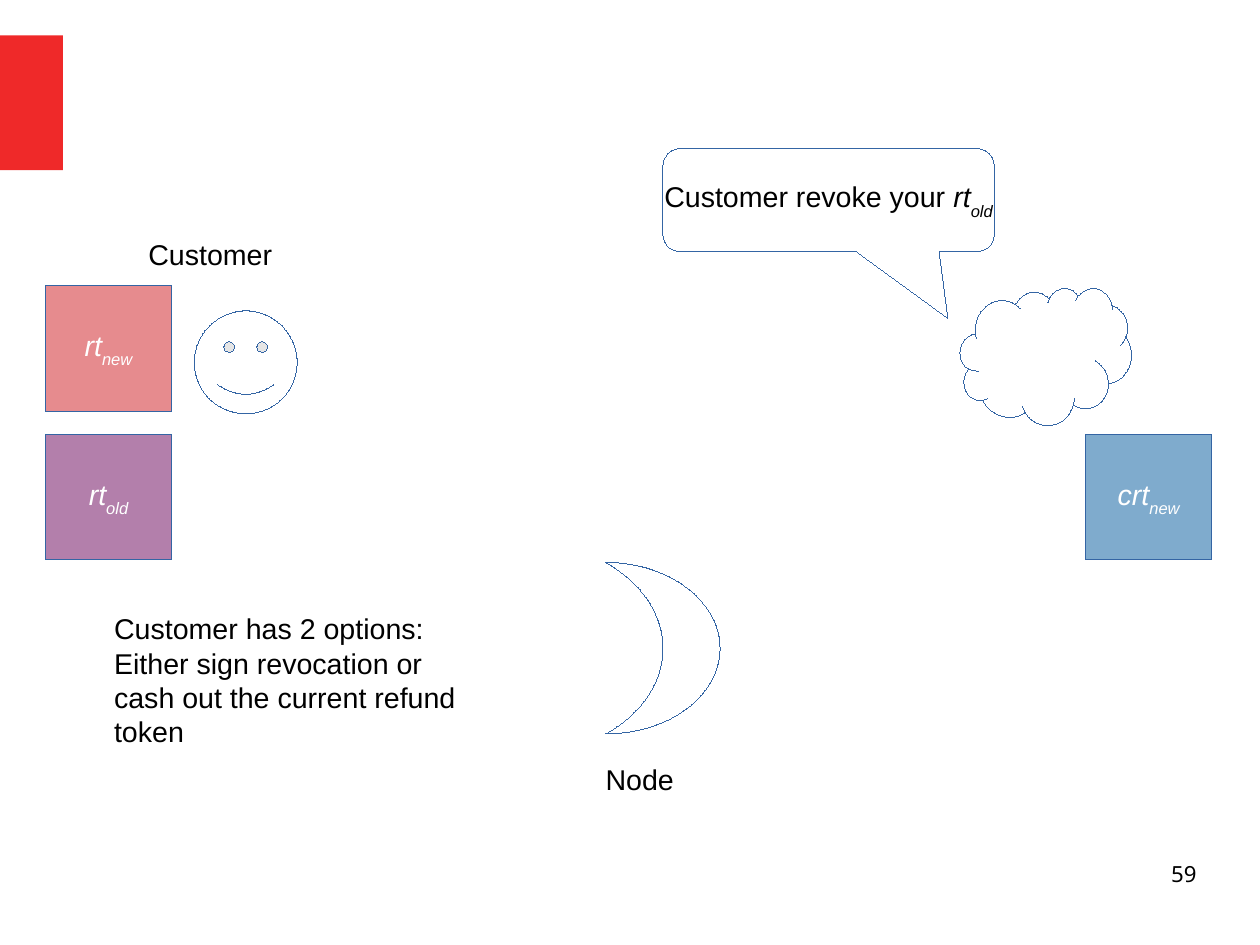
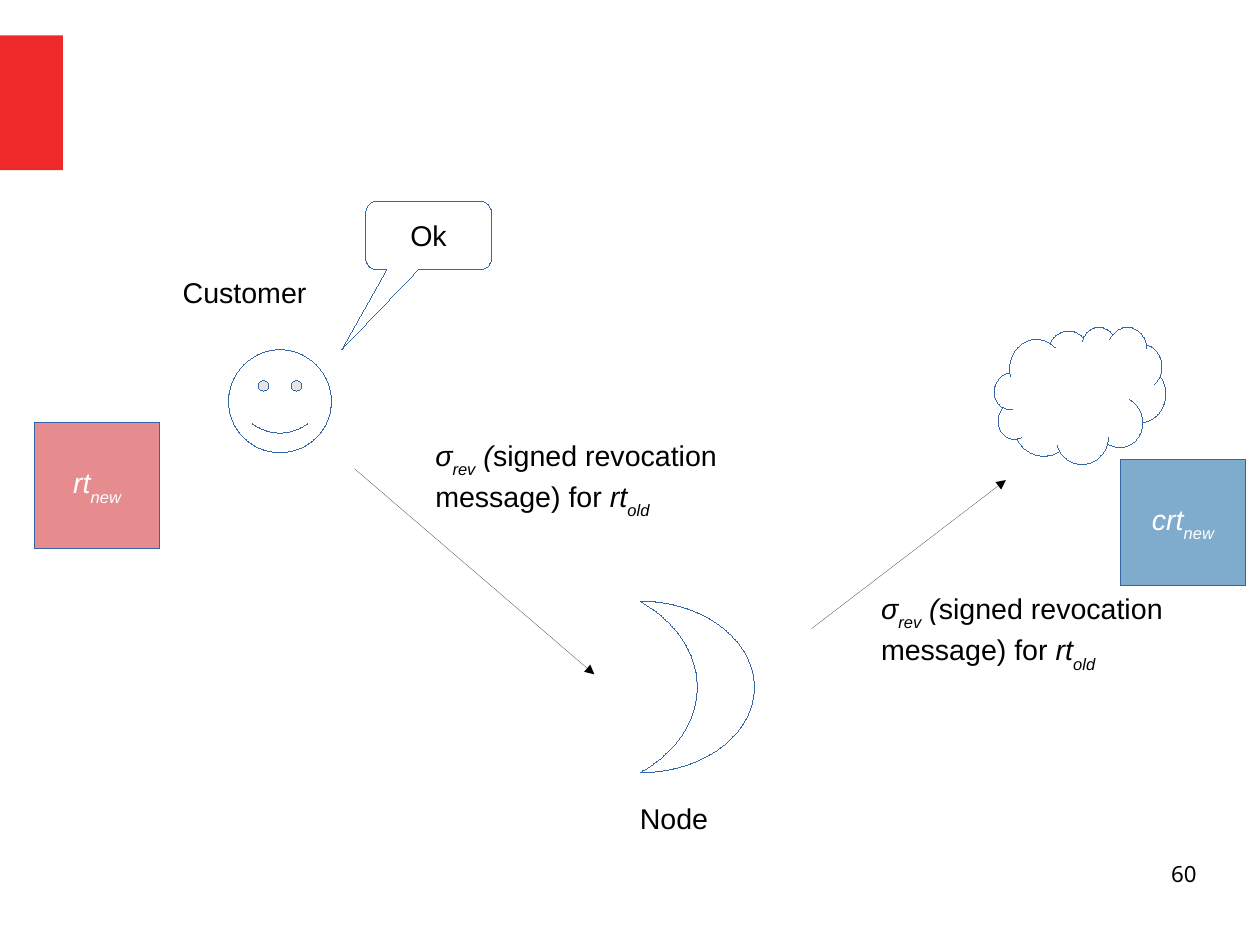
from lxml import etree
from pptx import Presentation
from pptx.dml.color import RGBColor
from pptx.enum.shapes import MSO_CONNECTOR, MSO_SHAPE
from pptx.enum.text import MSO_ANCHOR, MSO_AUTO_SIZE, PP_ALIGN
from pptx.oxml.ns import qn
from pptx.util import Cm, Inches, Pt

RECTANGLE = MSO_SHAPE.RECTANGLE
SMILEY = MSO_SHAPE.SMILEY_FACE
CLOUD = MSO_SHAPE.CLOUD
MOON = MSO_SHAPE.MOON
CALLOUT = MSO_SHAPE.ROUNDED_RECTANGULAR_CALLOUT
STRAIGHT = MSO_CONNECTOR.STRAIGHT
MIDDLE = MSO_ANCHOR.MIDDLE
GROW = MSO_AUTO_SIZE.SHAPE_TO_FIT_TEXT
LEFT, CENTER, RIGHT = PP_ALIGN.LEFT, PP_ALIGN.CENTER, PP_ALIGN.RIGHT

WHITE = RGBColor(0xFF, 0xFF, 0xFF)
BLACK = RGBColor(0x00, 0x00, 0x00)
BAND_RED = RGBColor(0xEF, 0x29, 0x29)
OUTLINE_BLUE = RGBColor(0x34, 0x65, 0xA4)
TOKEN_RED = RGBColor(0xCE, 0x18, 0x1E)
TOKEN_PURPLE = RGBColor(0x68, 0x00, 0x59)
TOKEN_BLUE = RGBColor(0x00, 0x59, 0x9D)

SLIDE_WIDTH, SLIDE_HEIGHT = Cm(28), Cm(21)
BODY_FONT, NUMBER_FONT = "Arial", "Noto Sans"
BODY_SIZE, NUMBER_SIZE = 18, 14
CELL = 0.1
TOKEN_SIDE = 11
PLAIN, ITALIC, SUBSCRIPT = range(3)

RT_OLD = [("rt", ITALIC), ("old", SUBSCRIPT)]
RT_NEW = [("rt", ITALIC), ("new", SUBSCRIPT)]
CRT_NEW = [("crt", ITALIC), ("new", SUBSCRIPT)]
REVOCATION = [
    ("σ", ITALIC),
    ("rev", SUBSCRIPT),
    (" (", ITALIC),
    ("signed revocation message) for ", PLAIN),
    *RT_OLD,
]


def cells(*counts):
    return [Inches(count * CELL) for count in counts]


def write(frame, paragraphs, color=BLACK, align=LEFT, font=BODY_FONT, size=BODY_SIZE):
    for index, runs in enumerate(paragraphs):
        paragraph = frame.add_paragraph() if index else frame.paragraphs[0]
        paragraph.alignment = align
        for text, style in runs:
            run = paragraph.add_run()
            run.text = text
            run.font.name = font
            run.font.size = Pt(size)
            run.font.color.rgb = color
            run.font.italic = style != PLAIN
            if style == SUBSCRIPT:
                run.font._element.set("baseline", "-33000")


def add_text(slide, box, *paragraphs):
    frame = slide.shapes.add_textbox(*cells(*box)).text_frame
    frame.word_wrap = True
    frame.auto_size = GROW
    write(frame, paragraphs)


def draw_hairline(figure, color):
    figure.line.color.rgb = color
    outline = figure._element.spPr.find(qn("a:ln"))
    outline.set("w", "0")
    return outline


def add_figure(slide, kind, box, fill=WHITE):
    figure = slide.shapes.add_shape(kind, *cells(*box))
    figure.shadow.inherit = False
    figure.fill.solid()
    figure.fill.fore_color.rgb = fill
    color = figure._element.spPr.find(qn("a:solidFill"))[0]
    etree.SubElement(color, qn("a:alpha"), val="50000")
    draw_hairline(figure, OUTLINE_BLUE)
    return figure


def write_centred(figure, runs, color):
    frame = figure.text_frame
    frame.word_wrap = False
    frame.vertical_anchor = MIDDLE
    write(frame, [runs], color, CENTER)


def add_token(slide, column, row, fill, runs):
    token = add_figure(slide, RECTANGLE, (column, row, TOKEN_SIDE, TOKEN_SIDE), fill)
    write_centred(token, runs, WHITE)


def add_callout(slide, box, tip, runs):
    callout = add_figure(slide, CALLOUT, box)
    callout.adjustments[0], callout.adjustments[1] = tip
    write_centred(callout, runs, BLACK)


def add_arrow(slide, start, end):
    arrow = slide.shapes.add_connector(STRAIGHT, *cells(*start, *end))
    outline = draw_hairline(arrow, BLACK)
    etree.SubElement(outline, qn("a:tailEnd"), type="triangle")
    etree.SubElement(arrow._element.spPr, qn("a:effectLst"))


def add_cast(slide, column, row):
    add_figure(slide, SMILEY, (column + 5, row + 7, 9, 9))
    add_figure(slide, CLOUD, (column + 72, row + 5, 15, 12))
    add_figure(slide, MOON, (column + 41, row + 29, 10, 15)).rotation = 180
    add_text(slide, (column, row, 18, 3.8), [("Customer", PLAIN)])
    add_text(slide, (column + 40, row + 46, 21, 3.8), [("Node", PLAIN)])


def add_slide(deck, number):
    slide = deck.slides.add_slide(deck.slide_layouts[6])
    band = slide.shapes.add_shape(RECTANGLE, *cells(0, 3.1, 5.5, 11.8))
    band.shadow.inherit = False
    band.fill.solid()
    band.fill.fore_color.rgb = BAND_RED
    band.line.fill.background()
    frame = slide.shapes.add_textbox(*cells(79, 75.3, 25.7, 5.7)).text_frame
    frame.word_wrap = True
    frame.margin_left = frame.margin_right = frame.margin_top = frame.margin_bottom = 0
    write(frame, [[(str(number), PLAIN)]], align=RIGHT, font=NUMBER_FONT, size=NUMBER_SIZE)
    return slide


def build_request(deck):
    slide = add_slide(deck, 59)
    add_cast(slide, 12, 20.2)
    add_callout(slide, (58, 13, 29, 9), (0.36, 1.15),
                [("Customer revoke your ", PLAIN), *RT_OLD])
    add_text(slide, (9, 53, 32, 12.2),
             [("Customer has 2 options:", PLAIN)],
             [("Either sign revocation or cash out the current refund token", PLAIN)])
    add_token(slide, 4, 38, TOKEN_PURPLE, RT_OLD)
    add_token(slide, 4, 25, TOKEN_RED, RT_NEW)
    add_token(slide, 95, 38, TOKEN_BLUE, CRT_NEW)


def build_reply(deck):
    slide = add_slide(deck, 60)
    add_cast(slide, 15, 23.6)
    add_callout(slide, (32, 17.6, 11, 6), (-0.69, 1.66), [("Ok", PLAIN)])
    add_arrow(slide, (31, 41), (52, 59))
    add_text(slide, (37.1, 37.8, 37.9, 7.8), REVOCATION)
    add_token(slide, 3, 37, TOKEN_RED, RT_NEW)
    add_arrow(slide, (71, 55), (88, 42))
    add_text(slide, (76.1, 51.2, 29.9, 10.6), REVOCATION)
    add_token(slide, 98, 40.2, TOKEN_BLUE, CRT_NEW)


def main():
    deck = Presentation()
    deck.slide_width, deck.slide_height = SLIDE_WIDTH, SLIDE_HEIGHT
    build_request(deck)
    build_reply(deck)
    deck.save("out.pptx")


if __name__ == "__main__":
    main()
